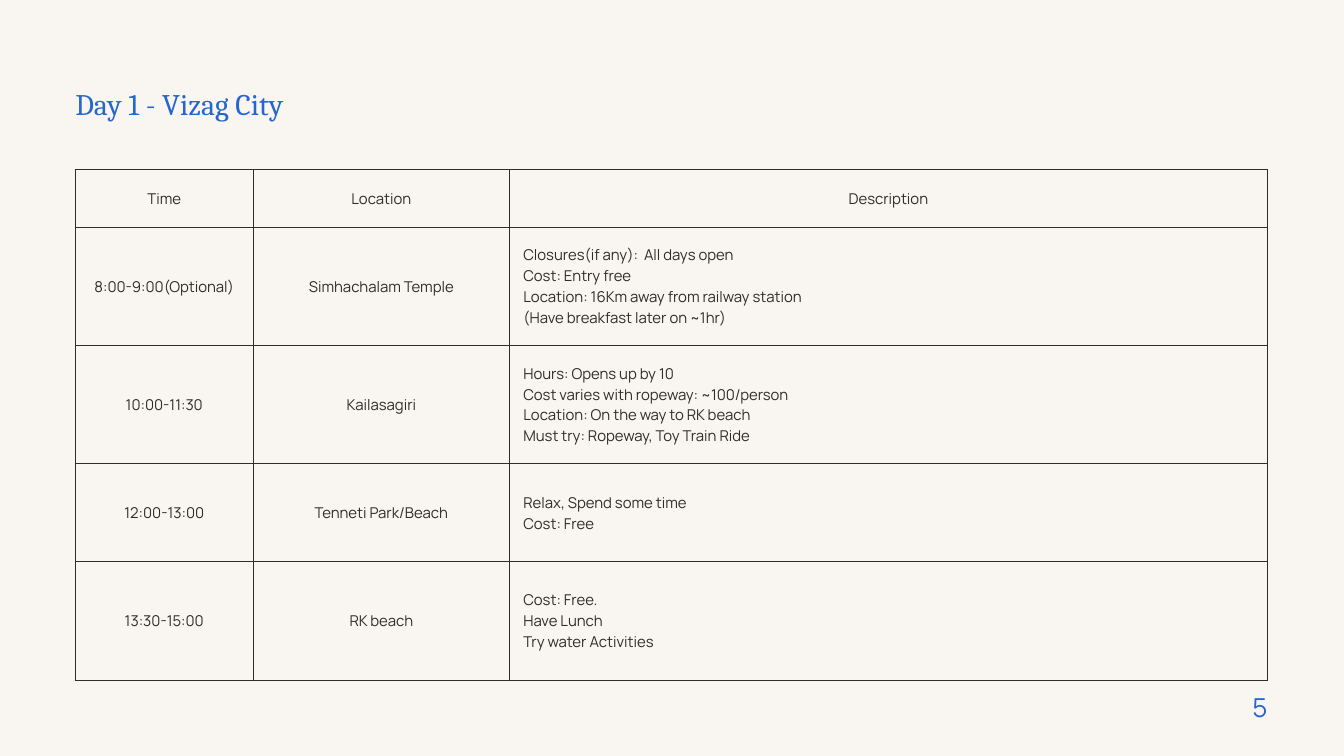
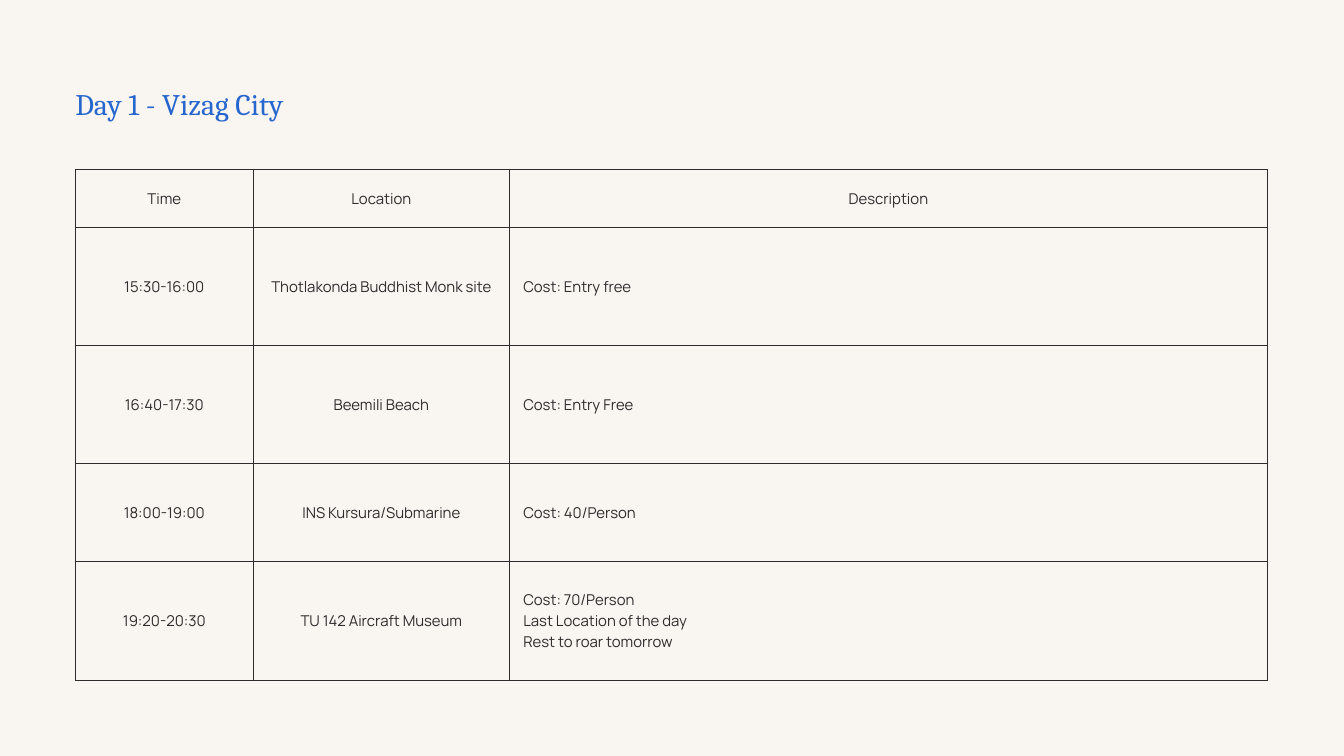
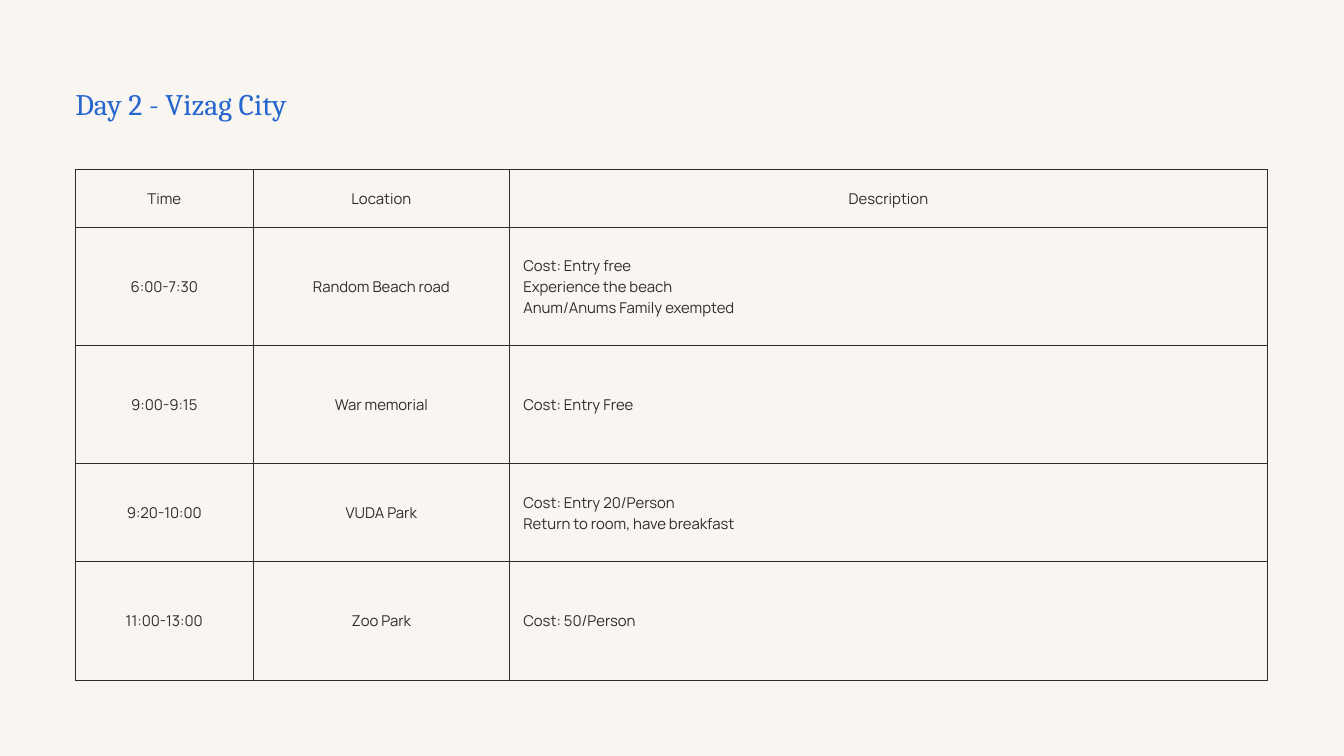
from lxml.etree import SubElement
from pptx import Presentation
from pptx.dml.color import RGBColor
from pptx.enum.text import MSO_ANCHOR, MSO_AUTO_SIZE, PP_ALIGN
from pptx.oxml.ns import qn
from pptx.util import Pt

BG, INK, BLUE = "F9F5F0", "2D2D2D", "2666CF"
LEFT, TABLE_TOP = 80.64, 181.44
COLS = [190.8, 274.32, 812.16]
ROWS = [61.92, 126.72, 126.72, 105.12, 126.72]
WIDTH = sum(COLS)
LINE_RATIO = 1.4
HEADER = ("Time", "Location", "Description")
SIDES = ("left", "right", "top", "bottom")
CELL_FORMAT = {f"margin_{side}": Pt(15) for side in SIDES}
CELL_FORMAT["vertical_anchor"] = MSO_ANCHOR.MIDDLE
BOX_FORMAT = {f"margin_{side}": 0 for side in SIDES}
BOX_FORMAT.update(word_wrap=True, auto_size=MSO_AUTO_SIZE.SHAPE_TO_FIT_TEXT)
TABLE_FORMAT = {"first_row": False, "horz_banding": False}

DAYS = [
    ("Day 1 - Vizag City", "5", [
        ("8:00-9:00(Optional)", "Simhachalam Temple",
         "Closures(if any):  All days open\nCost: Entry free\n"
         "Location: 16Km away from railway station\n(Have breakfast later on ~1hr)"),
        ("10:00-11:30", "Kailasagiri",
         "Hours: Opens up by 10\nCost varies with ropeway: ~100/person\n"
         "Location: On the way to RK beach\nMust try: Ropeway, Toy Train Ride"),
        ("12:00-13:00", "Tenneti Park/Beach", "Relax, Spend some time\nCost: Free"),
        ("13:30-15:00", "RK beach", "Cost: Free.\nHave Lunch\nTry water Activities"),
    ]),
    ("Day 1 - Vizag City", None, [
        ("15:30-16:00", "Thotlakonda Buddhist Monk site", "Cost: Entry free"),
        ("16:40-17:30", "Beemili Beach", "Cost: Entry Free"),
        ("18:00-19:00", "INS Kursura/Submarine", "Cost: 40/Person"),
        ("19:20-20:30", "TU 142 Aircraft Museum",
         "Cost: 70/Person\nLast Location of the day\nRest to roar tomorrow"),
    ]),
    ("Day 2 - Vizag City", None, [
        ("6:00-7:30", "Random Beach road",
         "Cost: Entry free\nExperience the beach\nAnum/Anums Family exempted"),
        ("9:00-9:15", "War memorial", "Cost: Entry Free"),
        ("9:20-10:00", "VUDA Park",
         "Cost: Entry 20/Person\nReturn to room, have breakfast"),
        ("11:00-13:00", "Zoo Park", "Cost: 50/Person"),
    ]),
]


def rgb(color):
    return RGBColor.from_string(color)


def write(tf, text, size, font, color, align):
    for i, line in enumerate(text.split("\n")):
        p = tf.add_paragraph() if i else tf.paragraphs[0]
        p.alignment = align
        p.line_spacing = Pt(size * LINE_RATIO)
        r = p.add_run()
        r.text = line
        for name, value in {"size": Pt(size), "name": font}.items():
            setattr(r.font, name, value)
        r.font.color.rgb = rgb(color)


prs = Presentation()
prs.slide_width, prs.slide_height = Pt(1440), Pt(810)

for title, number, visits in DAYS:
    s = prs.slides.add_slide(prs.slide_layouts[6])
    s.background.fill.solid()
    s.background.fill.fore_color.rgb = rgb(BG)

    table = s.shapes.add_table(len(ROWS), len(COLS), Pt(LEFT), Pt(TABLE_TOP),
                               Pt(WIDTH), Pt(sum(ROWS))).table
    for name, value in TABLE_FORMAT.items():
        setattr(table, name, value)
    for col, width in zip(table.columns, COLS):
        col.width = Pt(width)
    for row, height in zip(table.rows, ROWS):
        row.height = Pt(height)

    for i, values in enumerate([HEADER] + visits):
        for j, text in enumerate(values):
            cell = table.cell(i, j)
            for name, value in CELL_FORMAT.items():
                setattr(cell, name, value)
            align = PP_ALIGN.LEFT if i and j == 2 else PP_ALIGN.CENTER
            write(cell.text_frame, text, 16, "Manrope", INK, align)
            tc_pr = cell._tc.get_or_add_tcPr()
            for edge in ("a:lnL", "a:lnR", "a:lnT", "a:lnB"):
                ln = SubElement(tc_pr, qn(edge), w=str(Pt(0.75)))
                SubElement(SubElement(ln, qn("a:solidFill")), qn("a:srgbClr"), val=INK)
            cell.fill.background()

    boxes = [(title, LEFT, 84.96, 300.96, 42.48, 32, "Cambria", PP_ALIGN.LEFT)]
    if number:
        boxes.insert(0, (number, LEFT + WIDTH - 342.72, 735.12, 342.72, 40.32,
                         28, "Manrope", PP_ALIGN.RIGHT))
    for text, x, y, w, h, size, font, align in boxes:
        tf = s.shapes.add_textbox(Pt(x), Pt(y), Pt(w), Pt(h)).text_frame
        for name, value in BOX_FORMAT.items():
            setattr(tf, name, value)
        write(tf, text, size, font, BLUE, align)

prs.save("out.pptx")
